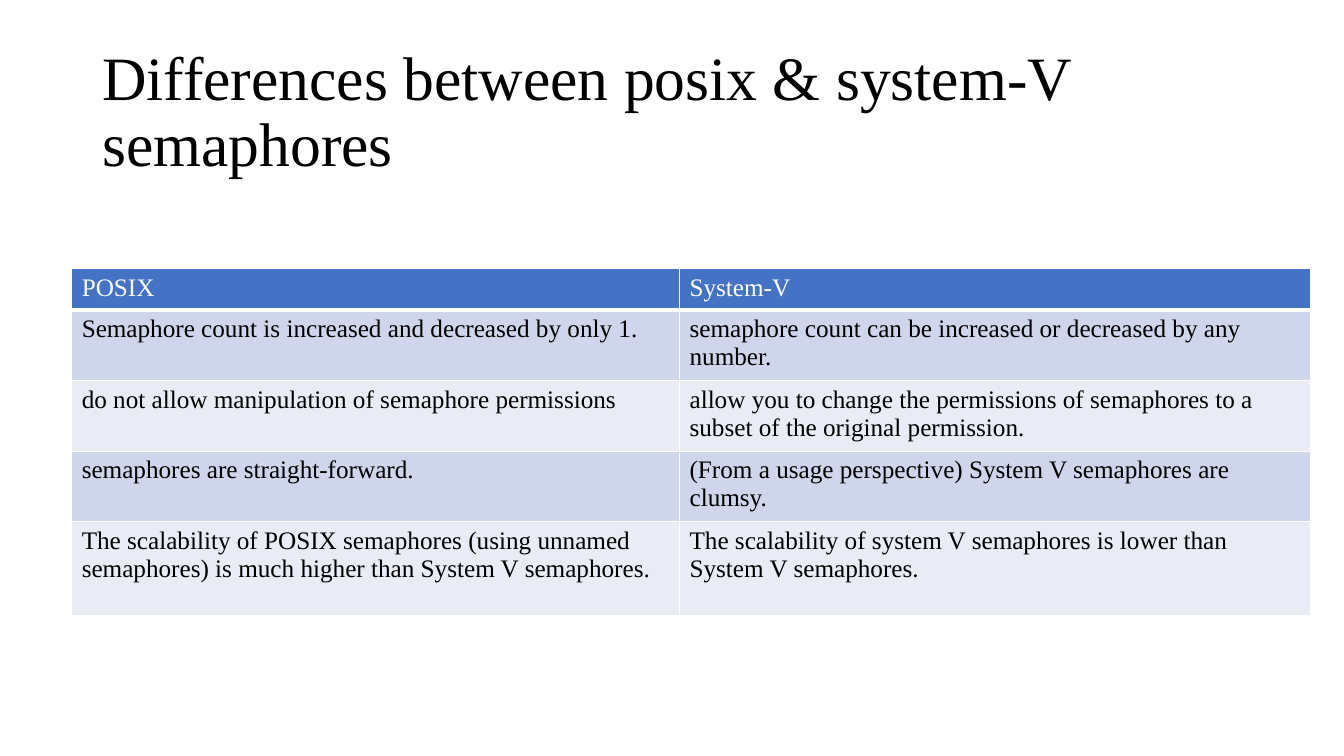
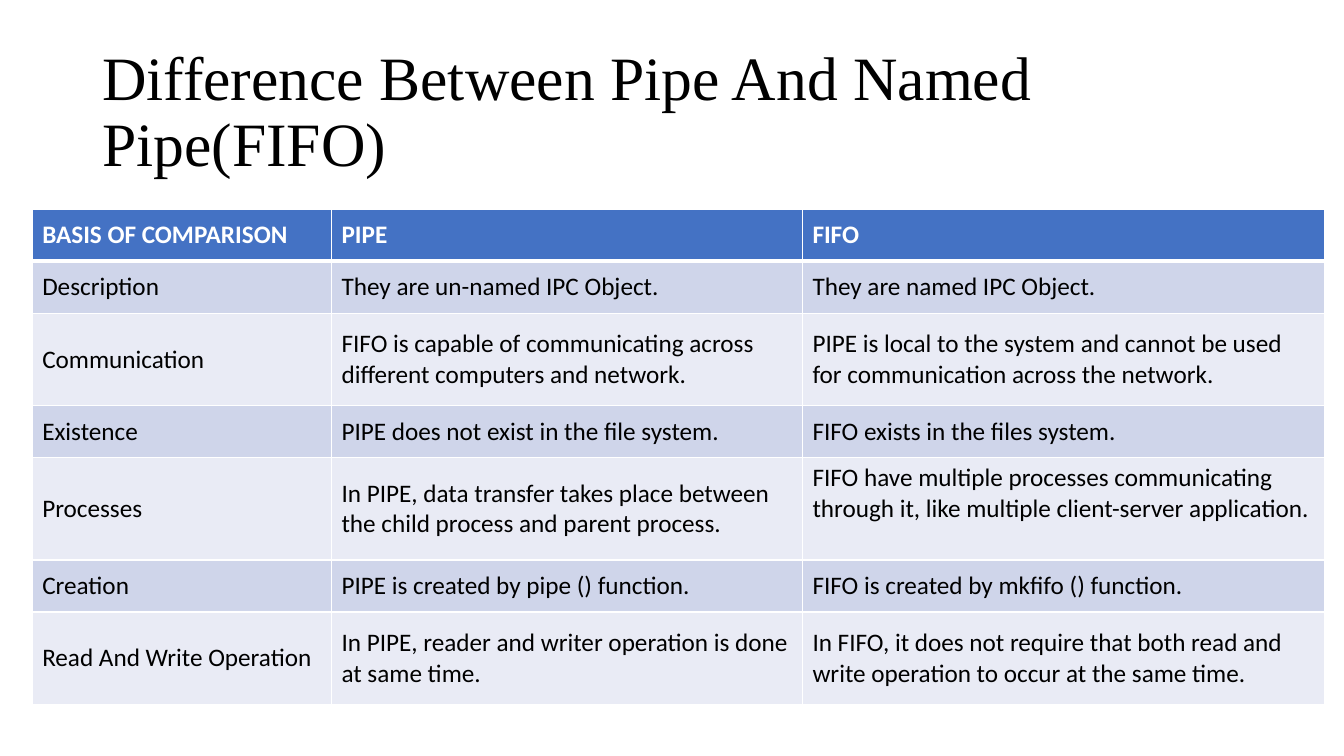
from lxml.etree import SubElement
from pptx import Presentation
from pptx.dml.color import RGBColor
from pptx.enum.text import MSO_ANCHOR as Anchor
from pptx.oxml.ns import qn
from pptx.util import Pt

COLORS = {
    "title": "000000",
    "body": "000000",
    "header_text": "FFFFFF",
    "header": "4472C4",
    "band_dark": "CFD5EA",
    "band_light": "E9EBF5",
    "border": "FFFFFF",
}
SERIF = "Times New Roman"
SANS = "Calibri"

SEMAPHORE_ROWS = [
    ("POSIX", "System-V"),
    ("Semaphore count is increased and decreased by only 1.",
     "semaphore count can be increased or decreased by any number."),
    ("do not allow manipulation of semaphore permissions",
     "allow you to change the permissions of semaphores to a subset of the original permission."),
    ("semaphores are straight-forward.",
     "(From a usage perspective) System V semaphores are clumsy."),
    ("The scalability of POSIX semaphores (using unnamed semaphores) is much higher "
     "than System V semaphores.",
     "The scalability of system V semaphores is lower than System V semaphores."),
]

PIPE_ROWS = [
    ("BASIS OF COMPARISON", "PIPE", "FIFO"),
    ("Description", "They are un-named IPC Object.", "They are named IPC Object."),
    ("Communication",
     "FIFO is capable of communicating across different computers and network.",
     "PIPE is local to the system and cannot be used for communication across the network."),
    ("Existence", "PIPE does not exist in the file system.", "FIFO exists in the files system."),
    ("Processes",
     "In PIPE, data transfer takes place between the child process and parent process.",
     "FIFO have multiple processes communicating through it, "
     "like multiple client-server application."),
    ("Creation", "PIPE is created by pipe () function.", "FIFO is created by mkfifo () function."),
    ("Read And Write Operation",
     "In PIPE, reader and writer operation is done at same time.",
     "In FIFO, it does not require that both read and write operation to occur at the same time."),
]


def color(name):
    return RGBColor.from_string(COLORS[name])


def write_text(frame, text, *, font, size, color_name, bold=False, line_spacing=None):
    paragraph = frame.paragraphs[0]
    paragraph.line_spacing = line_spacing
    run = paragraph.add_run()
    run.text = text
    run.font.name = font
    run.font.size = Pt(size)
    run.font.bold = bold
    run.font.color.rgb = color(color_name)


def add_titled_slide(presentation, title):
    slide = presentation.slides.add_slide(presentation.slide_layouts[6])
    frame = slide.shapes.add_textbox(Pt(66), Pt(28.8), Pt(828), Pt(104.4)).text_frame
    frame.word_wrap = True
    frame.vertical_anchor = Anchor.MIDDLE
    write_text(frame, title, font=SERIF, size=44, color_name="title", line_spacing=0.9)
    return slide


def set_borders(cell, **widths):
    properties = cell._tc.get_or_add_tcPr()
    for side in ("L", "R", "T", "B"):
        line = SubElement(properties, qn(f"a:ln{side}"), w=str(Pt(widths.get(side, 1))))
        fill = SubElement(line, qn("a:solidFill"))
        SubElement(fill, qn("a:srgbClr"), val=COLORS["border"])


def style_cell(cell, row_index):
    # A thick rule separates the header from the banded body
    if row_index == 0:
        set_borders(cell, B=3)
        fill_name = "header"
    else:
        set_borders(cell, T=3 if row_index == 1 else 1)
        fill_name = "band_dark" if row_index % 2 else "band_light"
    cell.fill.solid()
    cell.fill.fore_color.rgb = color(fill_name)


def add_comparison(slide, rows, *, left, top, widths, heights, font, anchor, bold_header=False):
    table = slide.shapes.add_table(len(rows), len(widths), Pt(left), Pt(top),
                                   Pt(sum(widths)), Pt(sum(heights))).table
    table.first_row = table.horz_banding = False
    for column, width in zip(table.columns, widths):
        column.width = Pt(width)
    for row_index, (texts, height) in enumerate(zip(rows, heights)):
        table.rows[row_index].height = Pt(height)
        is_header = row_index == 0
        for column_index, text in enumerate(texts):
            cell = table.cell(row_index, column_index)
            cell.vertical_anchor = anchor
            style_cell(cell, row_index)
            write_text(cell.text_frame, text, font=font, size=18,
                       color_name="header_text" if is_header else "body",
                       bold=is_header and bold_header)
    return table


def main():
    presentation = Presentation()
    presentation.slide_width, presentation.slide_height = Pt(960), Pt(540)

    # Semaphores
    slide = add_titled_slide(presentation, "Differences between posix & system-V semaphores")
    add_comparison(slide, SEMAPHORE_ROWS, left=51.2, top=192, widths=[434.2, 451],
                   heights=[29.5, 47, 47, 47, 67], font=SERIF, anchor=Anchor.TOP)

    # Pipes
    slide = add_titled_slide(presentation, "Difference Between Pipe And Named Pipe(FIFO)")
    single, double, tall = 37.2, 66, 73
    table = add_comparison(slide, PIPE_ROWS, left=23, top=149.4, widths=[213.8, 336.4, 373],
                           heights=[single, single, double, single, tall, single, double],
                           font=SANS, anchor=Anchor.MIDDLE, bold_header=True)
    # The FIFO processes cell sits at the top of its tall row
    table.cell(4, 2).vertical_anchor = Anchor.TOP

    presentation.save("out.pptx")


if __name__ == "__main__":
    main()
